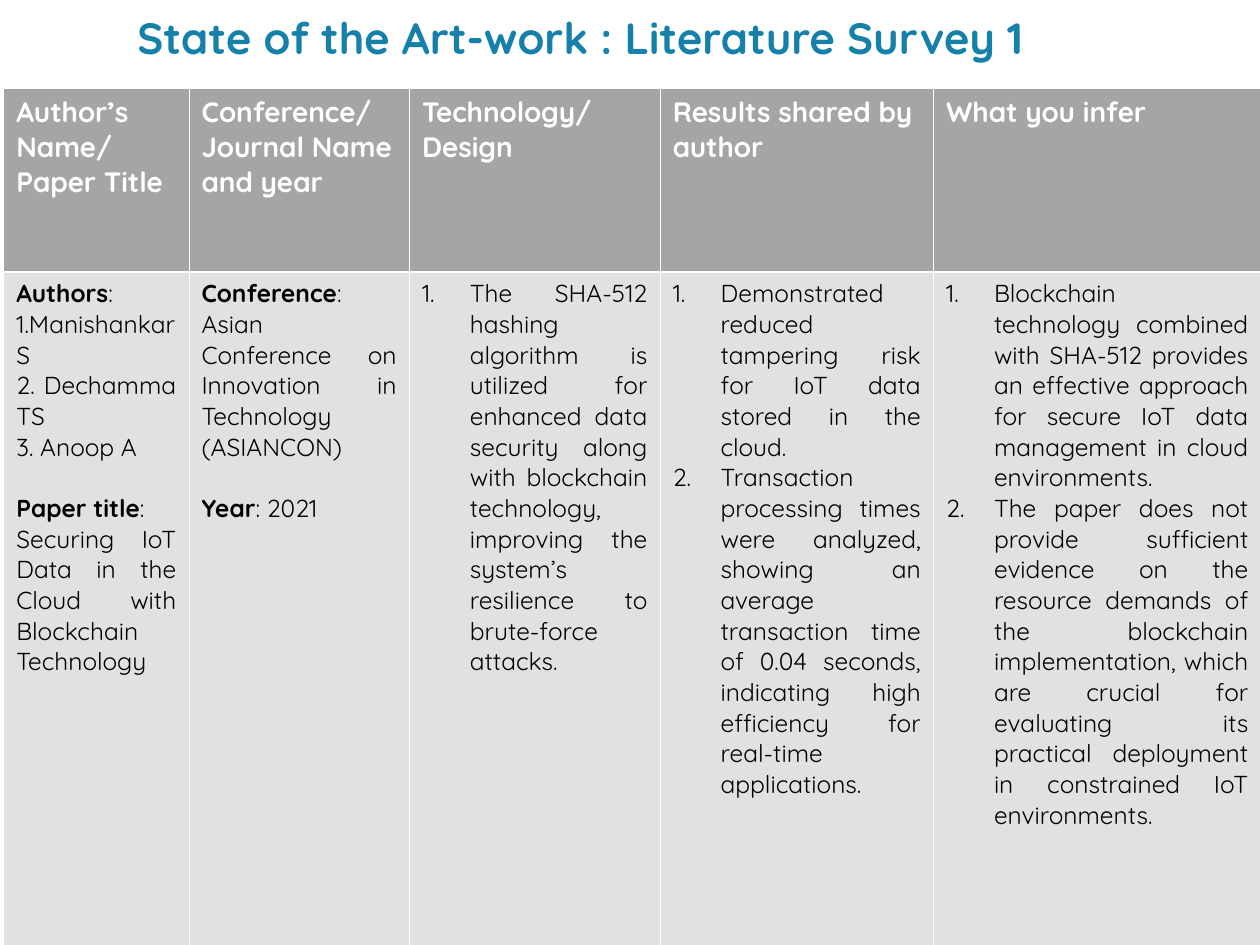
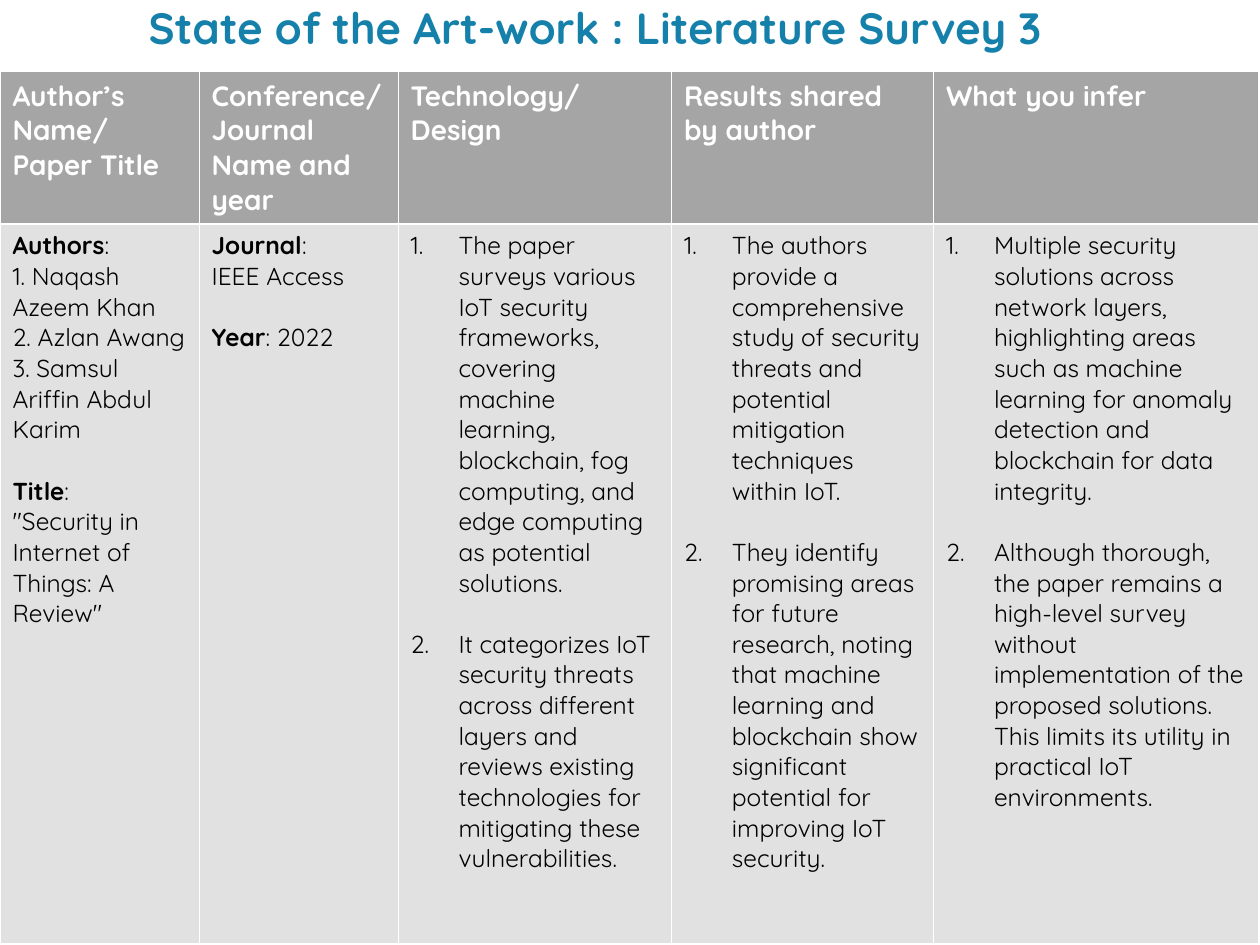
from dataclasses import dataclass

from lxml.etree import SubElement
from pptx import Presentation
from pptx.dml.color import RGBColor
from pptx.enum.text import MSO_ANCHOR as Anchor, MSO_AUTO_SIZE as AutoSize, PP_ALIGN as Align
from pptx.oxml.ns import qn
from pptx.util import Inches, Pt

FONT = "Quicksand"
COLORS = {
    "title": "1581AA",
    "header": "A5A5A5",
    "body": "E1E1E1",
    "border": "FFFFFF",
    "header_text": "FFFFFF",
    "body_text": "000000",
}
HEADER_SIZE, BODY_SIZE = 16, 14
BLANK_LINE = BODY_SIZE * 1.25
THIN, THICK = 0.45, 1.47
NUMBER_INDENT = Inches(0.38)
HEADINGS = [
    "Author’s Name/ Paper Title",
    "Conference/Journal Name and year",
    "Technology/ Design",
    "Results shared by author",
    "What you infer",
]


@dataclass
class Survey:
    number: int
    title_box: tuple
    table_origin: tuple
    column_widths: list
    row_heights: list
    alignment: Align
    spaced_points: bool
    details: list
    points: list


SURVEYS = [
    Survey(
        number=1,
        title_box=(0.99, 0.11, 7.88, 0.82),
        table_origin=(0.03, 0.7),
        column_widths=[1.47, 1.75, 1.99, 2.17, 2.6],
        row_heights=[1.46, 5.34],
        alignment=Align.JUSTIFY,
        spaced_points=False,
        details=[
            [
                ("Authors", ":"),
                "1.Manishankar S",
                "2. Dechamma TS",
                "3. Anoop A",
                ("Paper title", ":"),
                "Securing IoT Data in the Cloud with Blockchain Technology",
            ],
            [
                ("Conference", ": Asian Conference on Innovation in Technology (ASIANCON)"),
                ("Year", ": 2021"),
            ],
        ],
        points=[
            [
                "The SHA-512 hashing algorithm is utilized for enhanced data security along with "
                "blockchain technology, improving the system’s resilience to brute-force attacks.",
            ],
            [
                "Demonstrated reduced tampering risk for IoT data stored in the cloud.",
                "Transaction processing times were analyzed, showing an average transaction time "
                "of 0.04 seconds, indicating high efficiency for real-time applications.",
            ],
            [
                "Blockchain technology combined with SHA-512 provides an effective approach for "
                "secure IoT data management in cloud environments.",
                "The paper does not provide sufficient evidence on the resource demands of the "
                "blockchain implementation, which are crucial for evaluating its practical "
                "deployment in constrained IoT environments.",
            ],
        ],
    ),
    Survey(
        number=3,
        title_box=(1.08, 0.03, 7.83, 0.82),
        table_origin=(0, 0.57),
        column_widths=[1.58, 1.58, 2.17, 2.08, 2.58],
        row_heights=[1.19, 5.71],
        alignment=Align.LEFT,
        spaced_points=True,
        details=[
            [
                ("Authors", ":"),
                "1. Naqash Azeem Khan",
                "2. Azlan Awang 3. Samsul Ariffin Abdul Karim",
                ("Title", ":"),
                '"Security in Internet of Things: A Review"',
            ],
            [("Journal", ":"), "IEEE Access", ("Year", ": 2022")],
        ],
        points=[
            [
                "The paper surveys various IoT security frameworks, covering machine learning, "
                "blockchain, fog computing, and edge computing as potential solutions.",
                "It categorizes IoT security threats across different layers and reviews existing "
                "technologies for mitigating these vulnerabilities.",
            ],
            [
                "The authors provide a comprehensive study of security threats and potential "
                "mitigation techniques within IoT.",
                "They identify promising areas for future research, noting that machine learning "
                "and blockchain show significant potential for improving IoT security.",
            ],
            [
                "Multiple security solutions across network layers, highlighting areas such as "
                "machine learning for anomaly detection and blockchain for data integrity.",
                "Although thorough, the paper remains a high-level survey without implementation "
                "of the proposed solutions. This limits its utility in practical IoT environments.",
            ],
        ],
    ),
]


def add_text(paragraph, text, size=BODY_SIZE, color="body_text", bold=False):
    run = paragraph.add_run()
    run.text = text
    run.font.name = FONT
    run.font.size = Pt(size)
    run.font.bold = bold
    run.font.color.rgb = RGBColor.from_string(COLORS[color])


def add_number(paragraph):
    properties = paragraph._p.get_or_add_pPr()
    properties.set("marL", str(NUMBER_INDENT))
    properties.set("indent", str(-NUMBER_INDENT))
    bullet_color = SubElement(properties, qn("a:buClr"))
    SubElement(bullet_color, qn("a:srgbClr"), val=COLORS["body_text"])
    SubElement(properties, qn("a:buFont"), typeface=FONT)
    SubElement(properties, qn("a:buAutoNum"), type="arabicPeriod")


def format_cell(cell, fill, top, bottom):
    properties = cell._tc.get_or_add_tcPr()
    for side, width in (("L", THIN), ("R", THIN), ("T", top), ("B", bottom)):
        line = SubElement(properties, qn(f"a:ln{side}"), w=str(Pt(width)))
        line_fill = SubElement(line, qn("a:solidFill"))
        SubElement(line_fill, qn("a:srgbClr"), val=COLORS["border"])
    cell.fill.solid()
    cell.fill.fore_color.rgb = RGBColor.from_string(COLORS[fill])


def fill_body_cell(cell, entries, survey, numbered):
    frame = cell.text_frame
    for index, entry in enumerate(entries):
        paragraph = frame.add_paragraph() if index else frame.paragraphs[0]
        if numbered:
            add_number(paragraph)
        paragraph.alignment = survey.alignment
        labelled = isinstance(entry, tuple)
        if index and (labelled or numbered and survey.spaced_points):
            paragraph.space_before = Pt(BLANK_LINE)
        label, text = entry if labelled else ("", entry)
        if label:
            add_text(paragraph, label, bold=True)
        add_text(paragraph, text)


def place_title(slide, text, box):
    title = slide.shapes.title
    title.left, title.top, title.width, title.height = map(Inches, box)
    frame = title.text_frame
    frame.word_wrap = True
    frame.auto_size = AutoSize.NONE
    frame.vertical_anchor = Anchor.TOP
    frame.margin_top = Inches(0.02)
    paragraph = frame.paragraphs[0]
    paragraph.alignment = Align.LEFT
    paragraph.line_spacing = 0.9
    add_text(paragraph, text, size=25, color="title", bold=True)


def place_table(slide, survey):
    widths, heights = survey.column_widths, survey.row_heights
    box = (*survey.table_origin, sum(widths), sum(heights))
    table = slide.shapes.add_table(len(heights), len(widths), *map(Inches, box)).table
    table.horz_banding = False
    for row, height in zip(table.rows, heights):
        row.height = Inches(height)
    body = survey.details + survey.points
    for index, (width, heading, entries) in enumerate(zip(widths, HEADINGS, body)):
        table.columns[index].width = Inches(width)
        header_cell, body_cell = table.cell(0, index), table.cell(1, index)
        format_cell(header_cell, "header", THIN, THICK)
        add_text(header_cell.text_frame.paragraphs[0], heading,
                 size=HEADER_SIZE, color="header_text", bold=True)
        format_cell(body_cell, "body", THICK, THIN)
        fill_body_cell(body_cell, entries, survey, numbered=index >= len(survey.details))


def add_survey_slide(presentation, survey):
    slide = presentation.slides.add_slide(presentation.slide_layouts[5])
    place_title(slide, f"State of the Art-work : Literature Survey {survey.number}",
                survey.title_box)
    place_table(slide, survey)


def main():
    presentation = Presentation()
    presentation.slide_width = Inches(10)
    presentation.slide_height = Inches(7.5)
    for survey in SURVEYS:
        add_survey_slide(presentation, survey)
    presentation.save("out.pptx")


if __name__ == "__main__":
    main()
